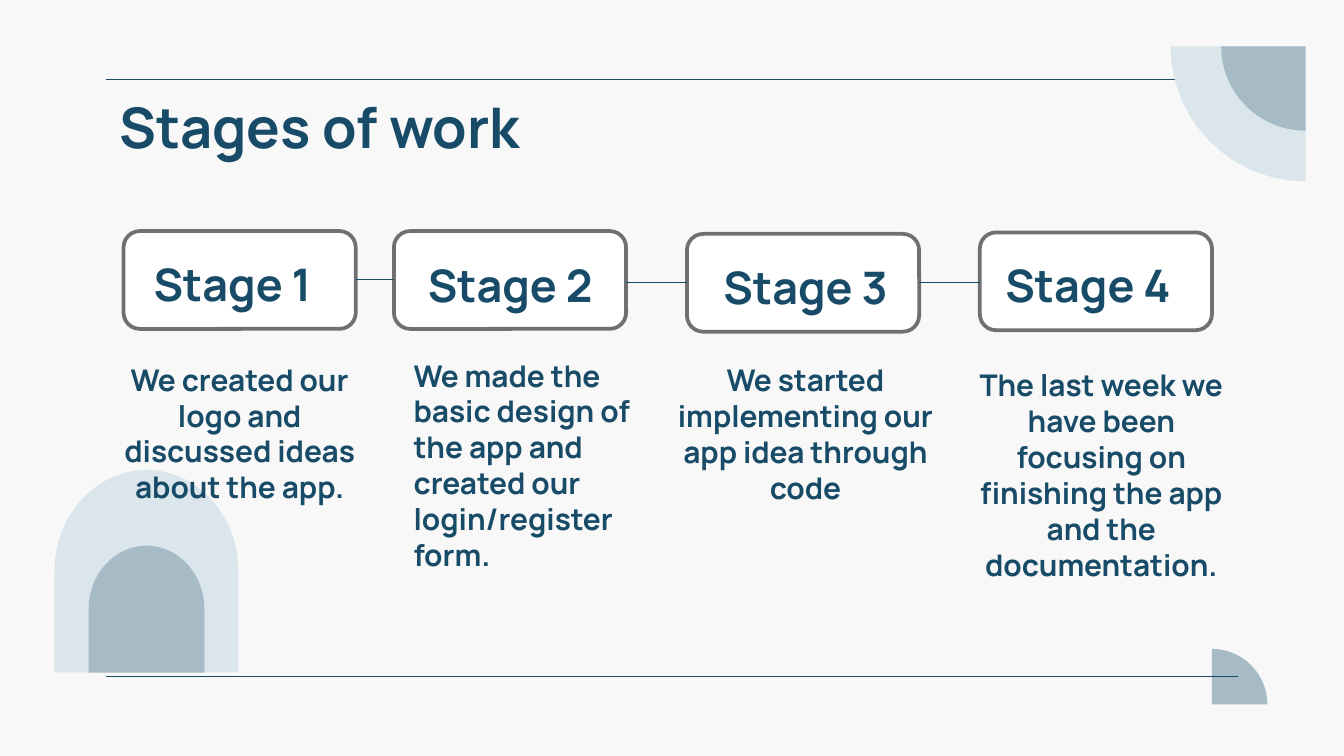
"""Build the "Stages of work" slide."""
import math
from dataclasses import dataclass

from lxml import etree
from pptx import Presentation
from pptx.dml.color import RGBColor
from pptx.enum import shapes, text
from pptx.oxml import ns
from pptx.util import Pt


@dataclass(frozen=True)
class Theme:
    font: str = "Manrope"
    ink: RGBColor = RGBColor(0x17, 0x4B, 0x67)
    paper: RGBColor = RGBColor(0xF8, 0xF8, 0xF8)
    box: RGBColor = RGBColor(0xFF, 0xFF, 0xFF)
    border: RGBColor = RGBColor(0x70, 0x70, 0x70)
    pale: RGBColor = RGBColor(0xDA, 0xE6, 0xEC)
    grey: RGBColor = RGBColor(0xA7, 0xBB, 0xC7)
    title: float = 30
    stage: float = 24
    body: float = 16


theme = Theme()


def write(sp, words, size, align=text.PP_ALIGN.LEFT):
    tf = sp.text_frame
    tf.word_wrap = True
    tf.auto_size = text.MSO_AUTO_SIZE.NONE
    tf.vertical_anchor = text.MSO_ANCHOR.TOP
    tf.margin_left = tf.margin_right = tf.margin_top = tf.margin_bottom = Pt(7.2)
    p = tf.paragraphs[0]
    p.alignment = align
    p.space_before = Pt(0)
    r = p.add_run()
    r.text = words
    r.font.name = theme.font
    r.font.size = Pt(size)
    r.font.bold = True
    r.font.color.rgb = theme.ink


def add_line(x1, y1, x2, y2):
    sp = s.shapes.add_connector(
        shapes.MSO_CONNECTOR.STRAIGHT, Pt(x1), Pt(y1), Pt(x2), Pt(y2))
    sp.line.color.rgb = theme.ink
    sp.line.width = Pt(0.75)
    etree.SubElement(sp._element.spPr, ns.qn("a:effectLst"))


prs = Presentation()
prs.slide_width, prs.slide_height = Pt(720), Pt(405)
s = prs.slides.add_slide(prs.slide_layouts[5])
s.background.fill.solid()
s.background.fill.fore_color.rgb = theme.paper

title = s.shapes.title
title.left, title.top, title.width, title.height = Pt(56.7), Pt(42.5), Pt(607), Pt(45.4)
write(title, "Stages of work", theme.title)
for y in (42.5, 362.6):
    add_line(56.9, y, 663.1, y)

curves = [
    (649.2, 377.4, 29.8, 29.8, [270], [(649.2, 377.4)], theme.grey),
    (699.4, 24.8, 72.3, 72.3, [90], [(699.4, 24.8)], theme.pale),
    (699.4, 24.8, 45.2, 45.2, [90], [(699.4, 24.8)], theme.grey),
    (78.5, 306, 49.3, 54.2, [180, 270], [(127.8, 360.3), (29.2, 360.3)], theme.pale),
    (78.5, 326.2, 31, 33.9, [180, 270], [(109.5, 360.3), (47.5, 360.3)], theme.grey),
]
bend = 0.55
for cx, cy, rx, ry, starts, corners, color in curves:
    units = []
    for start in starts:
        a, b = math.radians(start), math.radians(start + 90)
        units += [(math.cos(a), math.sin(a)),
                  (math.cos(a) - bend * math.sin(a), math.sin(a) + bend * math.cos(a)),
                  (math.cos(b) + bend * math.sin(b), math.sin(b) - bend * math.cos(b))]
    units.append((math.cos(b), math.sin(b)))
    points = [(cx + rx * x, cy + ry * y) for x, y in units] + corners
    points = [(Pt(x), Pt(y)) for x, y in points]
    builder = s.shapes.build_freeform(*points[0])
    builder.add_line_segments(points[1:], close=True)
    sp = builder.convert_to_shape()
    segments = list(sp._element.iter(ns.qn("a:lnTo")))
    for i in range(0, 3 * len(starts), 3):
        curve = etree.Element(ns.qn("a:cubicBezTo"))
        segments[i].addprevious(curve)
        for segment in segments[i:i + 3]:
            curve.append(segment[0])
            segment.getparent().remove(segment)
    sp.shadow.inherit = False
    sp.fill.solid()
    sp.fill.fore_color.rgb = color
    sp.line.fill.background()
tree = s.shapes._spTree
tree.insert(2, s.shapes[3]._element)
tree.insert(6, title._element)

center, left = text.PP_ALIGN.CENTER, text.PP_ALIGN.LEFT
stages = [
    ((66.2, 123.8), (75.2, 130.3), (51, 186.4), center,
     "We created our logo and discussed ideas about the app."),
    ((211, 123.8), (222.1, 131), (214.5, 184.2), left,
     "We made the basic design of the app and created our login/register form."),
    ((368, 125.3), (380.5, 131.8), (354.1, 186.6), center,
     "We started implementing our app idea through code"),
    ((524.9, 124.5), (531.5, 131), (512.6, 189.5), center,
     "The last week we have been focusing on finishing the app and the documentation."),
]
box_width, box_height = 124.4, 52.4
for number, (box, label, body, align, words) in enumerate(stages, 1):
    sp = s.shapes.add_shape(shapes.MSO_SHAPE.ROUNDED_RECTANGLE,
                            Pt(box[0]), Pt(box[1]), Pt(box_width), Pt(box_height))
    sp.shadow.inherit = False
    sp.fill.solid()
    sp.fill.fore_color.rgb = theme.box
    sp.line.color.rgb = theme.border
    sp.line.width = Pt(2)
    sp = s.shapes.add_textbox(Pt(label[0]), Pt(label[1]), Pt(126.7), Pt(39.6))
    write(sp, f"Stage {number}", theme.stage)
    sp = s.shapes.add_textbox(Pt(body[0]), Pt(body[1]), Pt(154.8), Pt(147.6))
    write(sp, words, theme.body, align)

for before, after, y in zip(stages, stages[1:], (149.8, 151.5, 151.5)):
    add_line(before[0][0] + box_width, y, after[0][0], y)

prs.save("out.pptx")
